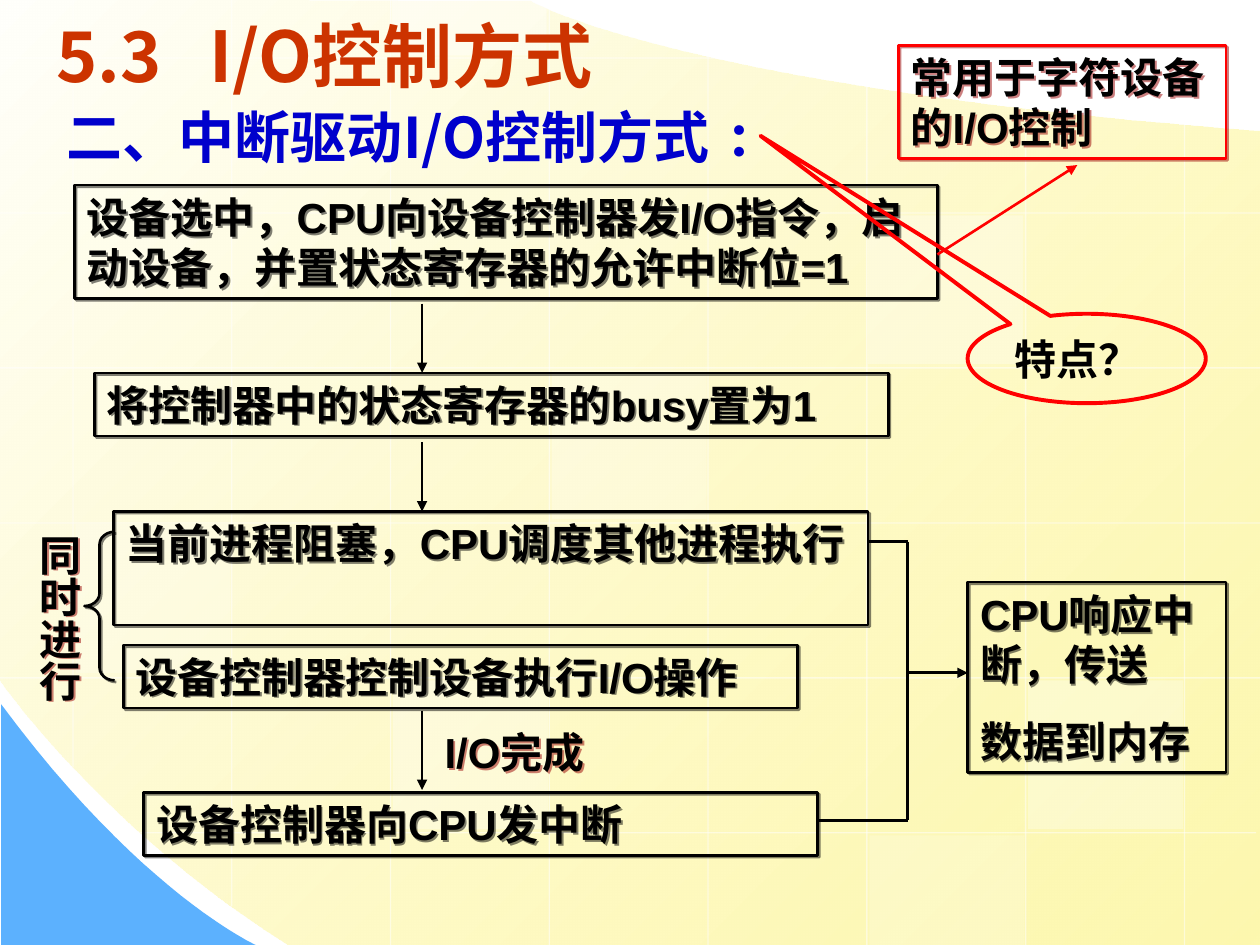
from lxml.etree import SubElement
from pptx import Presentation
from pptx.dml.color import RGBColor
from pptx.enum.dml import MSO_LINE
from pptx.enum.shapes import MSO_CONNECTOR as Link, MSO_SHAPE as Kind
from pptx.enum.text import MSO_ANCHOR as Anchor, PP_ALIGN as Align
from pptx.oxml.ns import qn
from pptx.util import Inches, Pt

CJK = "Noto Sans CJK SC"
rgb = RGBColor.from_string


def write(shape, text, size=24, color="000000", face="Arial"):
    frame = shape.text_frame
    frame.text = text
    frame.word_wrap = True
    frame.vertical_anchor = Anchor.TOP
    for i, para in enumerate(frame.paragraphs):
        para.alignment = Align.LEFT
        para.space_before = Pt(15 if i else 0)
        for run in para.runs:
            run.font.size, run.font.bold, run.font.name = Pt(size), True, face
            run.font.color.rgb = rgb(color)
            SubElement(run.font._element, qn("a:ea"), typeface=CJK)


def link(x1, y1, x2, y2, color="000000", width=1.5, arrow=False):
    line = slide.shapes.add_connector(
        Link.STRAIGHT, Inches(x1), Inches(y1), Inches(x2), Inches(y2))
    line.line.color.rgb = rgb(color)
    line.line.width = Pt(width)
    if arrow:
        SubElement(line.line._get_or_add_ln(), qn("a:tailEnd"), type="triangle")
    SubElement(line.element.spPr, qn("a:effectLst"))
    return line


prs = Presentation()
prs.slide_width, prs.slide_height = Inches(10), Inches(7.5)
slide = prs.slides.add_slide(prs.slide_layouts[1])
shapes = slide.shapes

# Backdrop: curves as four Bezier points, straight edges as two
sheet = [
    [(10, 1.04), (10, 7.5)],
    [(10, 7.5), (2.3, 7.5)],
    [(2.3, 7.5), (0.86, 6.61), (-0.01, 5.39), (0, 5.39)],
    [(0, 5.39), (-0.01, -0.01)],
    [(-0.01, -0.01), (4.21, 0.01)],
    [(4.21, 0.01), (4.21, 0.01), (5.37, 0.69), (10, 1.04)],
]
corner = [
    [(0.01, 5.59), (0.01, 7.5)],
    [(0.01, 7.5), (2.03, 7.5)],
    [(2.03, 7.5), (2.03, 7.5), (1.12, 7.09), (0.01, 5.59)],
]
drawn = []
for edges in (sheet, corner):
    dots = []
    for edge in edges:
        if len(edge) == 2:
            dots.append(edge[1])
            continue
        for t in (i / 24 for i in range(1, 25)):
            mix = ((1 - t) ** 3, 3 * t * (1 - t) ** 2, 3 * t * t * (1 - t), t ** 3)
            dots.append(tuple(sum(m * p[k] for m, p in zip(mix, edge)) for k in (0, 1)))
    x, y = edges[0][0]
    path = shapes.build_freeform(round(x * 1000), round(y * 1000), scale=Inches(1) / 1000)
    path.add_line_segments([(round(x * 1000), round(y * 1000)) for x, y in dots])
    area = path.convert_to_shape()
    area.shadow.inherit = False
    area.line.fill.background()
    drawn.append(area)

page, wave = drawn
page.fill.gradient()
page.fill.gradient_angle = 315
for stop, tone, place in zip(page.fill.gradient_stops, ("FFFFFB", "FDF58D"), (0, 1)):
    stop.color.rgb = rgb(tone)
    stop.position = place
wave.fill.solid()
wave.fill.fore_color.rgb = rgb("5CB1FE")
veils = [(page, 70)]

# Faint grid
columns = [(0, 6.09), (0, 7.19), (0, 7.5), (0, 7.52),
           (0.43, 7.52), (0.68, 7.52), (0.85, 7.52), (0.98, 7.52)]
for i, (top, end) in enumerate(columns):
    x = 0.58 + 1.26 * i
    veils.append((link(x, top, x, end, "FFFFFF", 0.75), 50))
rows = [(0, 5.68)] + [(0, 10.01)] * 4 + [(1.11, 9.97)]
for i, (left, end) in enumerate(rows):
    y = 0.46 + 1.23 * i
    veils.append((link(end, y, left, y, "FFFFFF", 0.75), 50))
for x, y, tall, alpha in [
    (4.38, 2.94, 1.18, 25), (8.16, 5.4, 1.18, 30), (0.6, 4.16, 1.18, 20),
    (6.9, 6.63, 0.87, 20), (3.11, 0, 0.44, 40), (3.12, 5.4, 1.18, 30),
    (6.89, 1.71, 1.18, 30),
]:
    tile = shapes.add_shape(Kind.RECTANGLE, Inches(x), Inches(y), Inches(1.23), Inches(tall))
    tile.shadow.inherit = False
    tile.line.fill.background()
    tile.fill.solid()
    tile.fill.fore_color.rgb = rgb("FFFFFF")
    veils.append((tile, alpha))
for shape, alpha in veils:
    tone = list(shape.element.spPr.iter(qn("a:srgbClr")))[-1]
    SubElement(tone, qn("a:alpha"), val=str(alpha * 1000))

# Headings
title, head = shapes.title, slide.placeholders[1]
for shape, spot in ((title, (0.35, 0.05, 8.74, 0.77)), (head, (0.43, 0.76, 9.06, 0.64))):
    shape.left, shape.top, shape.width, shape.height = map(Inches, spot)
    shape.element.getparent().append(shape.element)
write(title, "5.3   I/O控制方式", 40, "CC3300", CJK)
para = head.text_frame.paragraphs[0]
props = para._p.get_or_add_pPr()
props.set("marL", str(Inches(0.67)))
props.set("indent", str(-Inches(0.67)))
SubElement(props, qn("a:buNone"))
para.text = "二、中断驱动I/O控制方式"
para.add_run().text = " ："
for run, face in zip(para.runs, (CJK, "Times New Roman")):
    run.font.size, run.font.bold, run.font.name = Pt(32), True, face
    run.font.color.rgb = rgb("0000CC")
    SubElement(run.font._element, qn("a:ea"), typeface=face)
para.space_before = Pt(0)

# Flow steps, brace and callout
red, black = "FF0000", "000000"
cast = []
for spot, text, color in [
    ((0.59, 1.47, 6.85, 0.9),
     "设备选中，CPU向设备控制器发I/O指令，启动设备，并置状态寄存器的允许中断位=1", black),
    ((0.75, 2.96, 6.3, 0.5), "将控制器中的状态寄存器的busy置为1", black),
    ((0.9, 4.06, 5.99, 0.9), "当前进程阻塞，CPU调度其他进程执行", black),
    ((0.98, 5.12, 5.35, 0.5), "设备控制器控制设备执行I/O操作", black),
    ((1.14, 6.29, 5.35, 0.5), "设备控制器向CPU发中断", black),
    ((7.68, 4.62, 2.05, 1.51), "CPU响应中断，传送\n数据到内存", black),
    ((7.13, 0.36, 2.6, 0.9), "常用于字符设备的I/O控制", red),
]:
    box = shapes.add_shape(Kind.RECTANGLE, *map(Inches, spot))
    box.fill.background()
    box.line.color.rgb = rgb(color)
    box.line.width = Pt(1.5)
    write(box, text)
    cast.append((box, "990000" if color == red else black))

brace = shapes.add_shape(Kind.LEFT_BRACE, Inches(0.67), Inches(4.22), Inches(0.24), Inches(1.18))
brace.adjustments[0] = 0.42
brace.fill.background()
brace.line.color.rgb = rgb(black)
brace.line.width = Pt(1.5)
cast.append((brace, black))

side = shapes.add_textbox(Inches(0.12), Inches(4.14), Inches(0.6), Inches(1.79))
write(side, "同时进行")
body = side.text_frame._txBody.bodyPr
body.set("vert", "eaVert")
frame = side.text_frame
frame.margin_left = frame.margin_right = Inches(0.05)
frame.margin_top = frame.margin_bottom = Inches(0.1)
done = shapes.add_textbox(Inches(3.43), Inches(5.72), Inches(1.81), Inches(0.5))
write(done, "I/O完成")
cast += [(side, "990000"), (done, "990000")]

for shape, tone in cast:
    shape.shadow.inherit = False
    glow = SubElement(shape.element.spPr.find(qn("a:effectLst")), qn("a:outerShdw"),
                      dist=str(Pt(1.4)), dir="2700000", algn="ctr", rotWithShape="0")
    SubElement(SubElement(glow, qn("a:srgbClr"), val=tone), qn("a:alpha"), val="50000")

for top, end in ((2.41, 2.96), (3.51, 4.06), (5.64, 6.27)):
    link(3.35, top, 3.35, end, arrow=True)
link(6.89, 4.3, 7.21, 4.3)
link(6.5, 6.51, 7.21, 6.51)
link(7.2, 4.3, 7.2, 6.51)
link(7.21, 5.34, 7.68, 5.34, arrow=True)
link(7.44, 2.02, 8.55, 1.31, red, arrow=True)

hint = shapes.add_shape(Kind.OVAL_CALLOUT, Inches(7.68), Inches(2.49), Inches(1.89), Inches(0.71))
hint.adjustments[0], hint.adjustments[1] = -1.37, -2.49
hint.shadow.inherit = False
hint.fill.background()
hint.line.color.rgb = rgb(red)
hint.line.width = Pt(2.25)
write(hint, "特点？")

prs.save("out.pptx")
